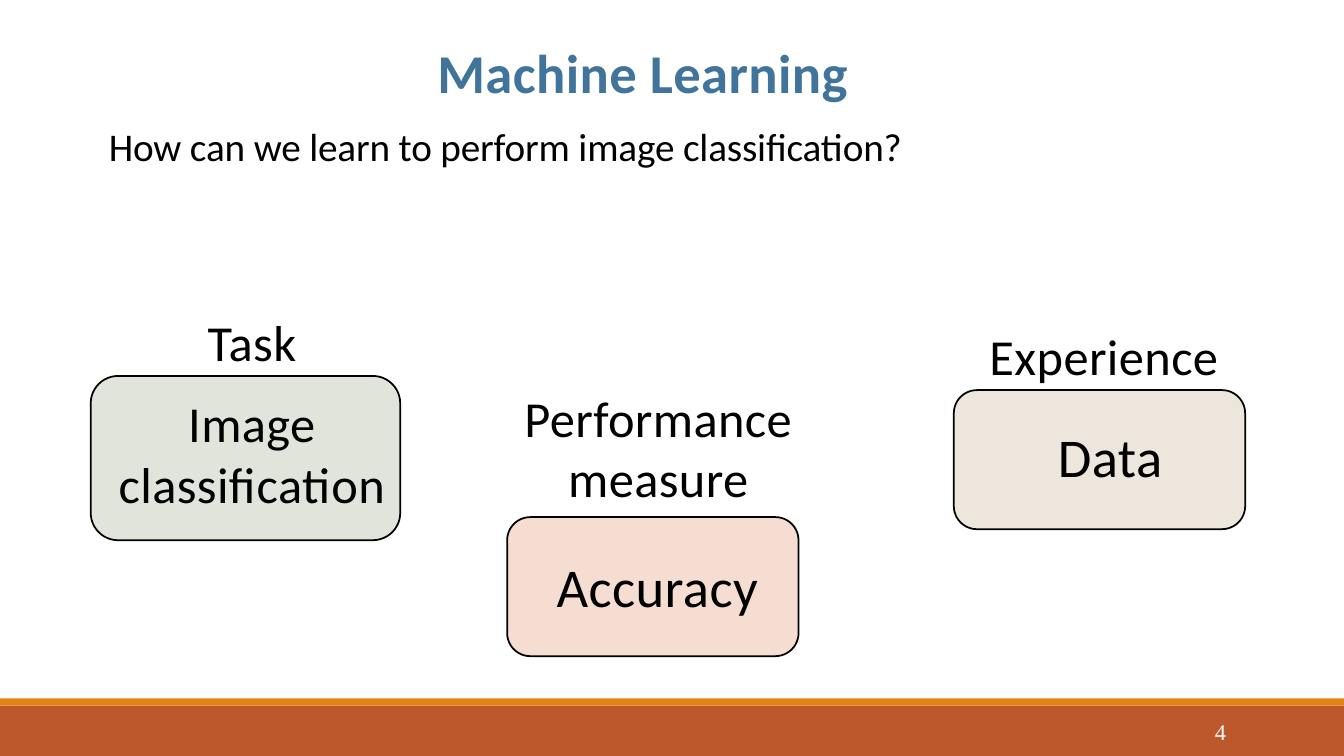
from pptx import Presentation
from pptx.dml.color import RGBColor
from pptx.enum.shapes import MSO_SHAPE
from pptx.enum.text import MSO_ANCHOR, MSO_AUTO_SIZE, PP_ALIGN
from pptx.oxml.ns import qn
from pptx.util import Inches, Pt

RECT, ROUNDED = MSO_SHAPE.RECTANGLE, MSO_SHAPE.ROUNDED_RECTANGLE
TOP, MIDDLE = MSO_ANCHOR.TOP, MSO_ANCHOR.MIDDLE
LEFT, CENTER, RIGHT = PP_ALIGN.LEFT, PP_ALIGN.CENTER, PP_ALIGN.RIGHT
NO_AUTOFIT = MSO_AUTO_SIZE.NONE

BLACK = RGBColor(0x00, 0x00, 0x00)
WHITE = RGBColor(0xFF, 0xFF, 0xFF)
BLUE = RGBColor(0x40, 0x74, 0x9B)
RUST = RGBColor(0xBD, 0x58, 0x2C)
ORANGE = RGBColor(0xE4, 0x83, 0x12)
SAGE = RGBColor(0xE0, 0xE4, 0xDB)
PEACH = RGBColor(0xF5, 0xDD, 0xD2)
SAND = RGBColor(0xEC, 0xE6, 0xDD)

TITLE = "Machine Learning"
QUESTION = "How can we learn to perform image classification?"
PAGE = "4"
INDENT = 0.47

# Positions are (left, top, width, height) in inches
BANDS = [((0, 7, 13.33, 0.5), RUST), ((0, 6.93, 13.33, 0.07), ORANGE)]
CARDS = [
    {"card": (0.9, 3.73, 3.07, 1.63), "fill": SAGE,
     "label": ["Task"], "label_at": (0.15, 3.09, 4.23, 0.61),
     "value": "Image classification", "value_at": (0.15, 3.89, 4.23, 1.21), "size": 36},
    {"card": (5.03, 5.13, 2.89, 1.38), "fill": PEACH,
     "label": ["Performance", "measure"], "label_at": (4.18, 3.84, 4.23, 1.21),
     "value": "Accuracy", "value_at": (4.05, 5.49, 4.47, 0.66), "size": 39},
    {"card": (9.46, 3.87, 2.89, 1.38), "fill": SAND,
     "label": ["Experience"], "label_at": (8.6, 3.23, 4.23, 0.61),
     "value": "Data", "value_at": (8.54, 4.2, 4.47, 0.66), "size": 39},
]


def place(sp, at):
    sp.left, sp.top, sp.width, sp.height = map(Inches, at)


def add_box(s, kind, at, fill, line=None):
    sp = s.shapes.add_shape(kind, *map(Inches, at))
    sp.shadow.inherit = False
    sp.fill.solid()
    sp.fill.fore_color.rgb = fill
    if line is None:
        sp.line.fill.background()
    else:
        sp.line.color.rgb = line
        sp.line.width = Pt(1.25)


def write(sp, lines, size, color=BLACK, bold=False, align=CENTER, indent=INDENT,
          spacing=30, font="Calibri", anchor=TOP, inset=(0, 0)):
    """Fill a text shape; spacing is in hundredths of a point, inset is (x, y)."""
    tf = sp.text_frame
    x, y = map(Inches, inset)
    frame = {"word_wrap": True, "auto_size": NO_AUTOFIT, "vertical_anchor": anchor,
             "margin_left": x, "margin_right": x, "margin_top": y, "margin_bottom": y}
    for name, value in frame.items():
        setattr(tf, name, value)
    for i, text in enumerate(lines):
        p = tf.paragraphs[0] if i == 0 else tf.add_paragraph()
        pPr = p._p.get_or_add_pPr()
        pPr.set("marL", str(Inches(indent)))
        pPr.set("indent", "0")
        pPr.append(pPr.makeelement(qn("a:buNone"), {}))
        p.alignment = align
        p.space_before = Pt(0)
        r = p.add_run()
        r.text = text
        for name, value in {"name": font, "size": Pt(size), "bold": bold}.items():
            setattr(r.font, name, value)
        r.font.color.rgb = color
        r._r.get_or_add_rPr().set("spc", str(spacing))


def add_text(s, at, lines, size, **formats):
    write(s.shapes.add_textbox(*map(Inches, at)), lines, size, **formats)


def main():
    prs = Presentation()
    prs.slide_width, prs.slide_height = Inches(13.33), Inches(7.5)
    s = prs.slides.add_slide(prs.slide_layouts[1])

    title, question = s.shapes.title, s.placeholders[1]
    place(title, (0.02, 0.39, 12.24, 0.66))
    write(title, [TITLE], 39, color=BLUE, bold=True)
    place(question, (1.07, 1.21, 9.14, 0.47))
    write(question, [QUESTION], 28, align=LEFT, indent=0.01, spacing=-10)

    for at, fill in BANDS:
        add_box(s, RECT, at, fill)
    add_text(s, (10.83, 7.06, 1.43, 0.4), [PAGE], 16, color=WHITE, align=RIGHT, indent=0,
             spacing=0, font="Times New Roman", anchor=MIDDLE, inset=(0.1, 0.05))

    for c in CARDS:
        add_box(s, ROUNDED, c["card"], c["fill"], BLACK)
        add_text(s, c["value_at"], [c["value"]], c["size"])
        add_text(s, c["label_at"], c["label"], 36)

    prs.save("out.pptx")


if __name__ == "__main__":
    main()
